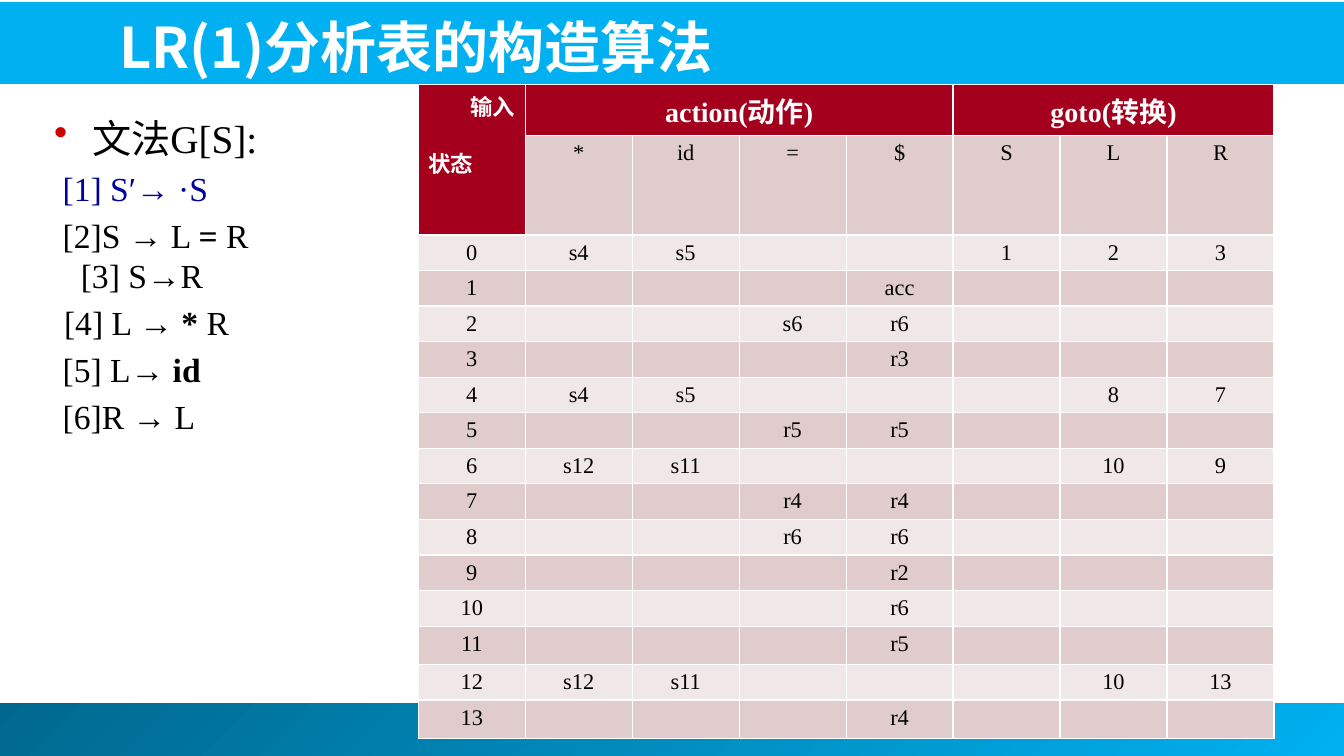
"""Builds the slide on constructing the LR(1) parsing table."""
import lxml.etree
import pptx
import pptx.dml.color
import pptx.enum.shapes
import pptx.enum.text
import pptx.oxml.ns
import pptx.util

Pt = pptx.util.Pt
RGBColor = pptx.dml.color.RGBColor
Align = pptx.enum.text.PP_ALIGN
Anchor = pptx.enum.text.MSO_ANCHOR
qn = pptx.oxml.ns.qn

SKY = RGBColor(0x00, 0xB0, 0xF0)
DEEP_BLUE = RGBColor(0x00, 0x68, 0x8E)
NAVY = RGBColor(0x00, 0x00, 0x99)
CRIMSON = RGBColor(0xA4, 0x00, 0x1D)
ROSE = RGBColor(0xE0, 0xCC, 0xCD)
PALE_ROSE = RGBColor(0xF0, 0xE7, 0xE8)
WHITE = RGBColor(0xFF, 0xFF, 0xFF)
BLACK = RGBColor(0x00, 0x00, 0x00)
SERIF = "Times New Roman"


def set_font(paragraph, size, color, bold=False, name=SERIF):
    paragraph.font.size = Pt(size)
    paragraph.font.color.rgb = color
    paragraph.font.bold = bold
    paragraph.font.name = name


def add_band(left, top, width, height):
    band = slide.shapes.add_shape(
        pptx.enum.shapes.MSO_SHAPE.RECTANGLE, Pt(left), Pt(top), Pt(width), Pt(height))
    band.shadow.inherit = False
    band.line.fill.background()
    slide.shapes._spTree.insert(2, band._element)
    return band


prs = pptx.Presentation()
prs.slide_width, prs.slide_height = Pt(960), Pt(540)
slide = prs.slides.add_slide(prs.slide_layouts[5])

header_band = add_band(-1.5, 1.5, 962, 58.5)
header_band.fill.solid()
header_band.fill.fore_color.rgb = SKY

footer_band = add_band(-3.5, 502.5, 964, 37.5)
footer_band.fill.gradient()
footer_band.fill.gradient_angle = 315
for stop, color in zip(footer_band.fill.gradient_stops, (DEEP_BLUE, SKY)):
    stop.color.rgb = color

title = slide.shapes.title
title.left, title.top, title.width, title.height = Pt(77.8), Pt(3.6), Pt(850), Pt(56.9)
title.text_frame.text = "LR(1)分析表的构造算法"
title.text_frame.vertical_anchor = Anchor.BOTTOM
title.text_frame.paragraphs[0].alignment = Align.LEFT
set_font(title.text_frame.paragraphs[0], 40, WHITE, True, "Noto Sans CJK JP")

SYMBOLS = ["*", "id", "=", "$", "S", "L", "R"]
STATES = [
    {"*": "s4", "id": "s5", "S": "1", "L": "2", "R": "3"},
    {"$": "acc"},
    {"=": "s6", "$": "r6"},
    {"$": "r3"},
    {"*": "s4", "id": "s5", "L": "8", "R": "7"},
    {"=": "r5", "$": "r5"},
    {"*": "s12", "id": "s11", "L": "10", "R": "9"},
    {"=": "r4", "$": "r4"},
    {"=": "r6", "$": "r6"},
    {"$": "r2"},
    {"$": "r6"},
    {"$": "r5"},
    {"*": "s12", "id": "s11", "L": "10", "R": "13"},
    {"$": "r4"},
]
rows = [["输入\n\n状态", "action(动作)", "", "", "", "goto(转换)", "", ""], [""] + SYMBOLS]
for state, moves in enumerate(STATES):
    rows.append([str(state)] + [moves.get(symbol, "") for symbol in SYMBOLS])

parsing_table = slide.shapes.add_table(
    len(rows), 8, Pt(298.8), Pt(60.5), Pt(611.2), Pt(436.3)).table
parsing_table.horz_banding = False
for column in parsing_table.columns:
    column.width = Pt(76.4)
row_heights = {0: 36, 1: 26.5, 13: 27.4, 15: 27.4}

for r, row in enumerate(rows):
    parsing_table.rows[r].height = Pt(row_heights.get(r, 25.4))
    for c, entry in enumerate(row):
        cell = parsing_table.cell(r, c)
        heading = r == 0 or (r == 1 and c == 0)
        size = 20 if r == 0 and c > 0 else 16
        cell.text = entry
        cell.fill.solid()
        cell.fill.fore_color.rgb = CRIMSON if heading else ROSE if r % 2 else PALE_ROSE
        for paragraph in cell.text_frame.paragraphs:
            paragraph.alignment = Align.CENTER
            set_font(paragraph, size, WHITE if heading else BLACK, heading)
            paragraph._p.get_or_add_endParaRPr().set("sz", str(size * 100))

corner = parsing_table.cell(0, 0)
corner.text_frame.paragraphs[0].alignment = Align.RIGHT
corner.text_frame.paragraphs[2].alignment = Align.LEFT
corner.merge(parsing_table.cell(1, 0))
parsing_table.cell(0, 1).merge(parsing_table.cell(0, 4))
parsing_table.cell(0, 5).merge(parsing_table.cell(0, 7))

grammar = slide.shapes.add_textbox(Pt(31.7), Pt(77.8), Pt(175.7), Pt(248.4)).text_frame
grammar.word_wrap = True
PRODUCTIONS = [
    (["文法G[S]:"], 28, BLACK, 27, -27),
    (["[1] S′→ ·S"], 24, NAVY, 6, 0),
    (["[2]S → L ", "= ", "R\v[3] S→R"], 24, BLACK, 19, -13),
    (["[4] L → ", "* ", "R"], 24, BLACK, 7, 0),
    (["[5] L→ ", "id"], 24, BLACK, 6, 0),
    (["[6]R → L"], 24, BLACK, 6, 0),
]
for i, (pieces, size, color, margin, indent) in enumerate(PRODUCTIONS):
    production = grammar.add_paragraph() if i else grammar.paragraphs[0]
    set_font(production, size, color)
    production.space_before = Pt(size * 0.2)
    for j, piece in enumerate(pieces):
        for k, line in enumerate(piece.split("\v")):
            if k:
                production.add_line_break()
            run = production.add_run()
            run.text = line
            if j == 1:
                run.font.bold = True
    properties = production._p.get_or_add_pPr()
    properties.set("marL", str(Pt(margin)))
    properties.set("indent", str(Pt(indent)))

bullet_host = grammar.paragraphs[0]._p.get_or_add_pPr()
bullet_color = lxml.etree.Element(qn("a:buClr"))
lxml.etree.SubElement(bullet_color, qn("a:srgbClr"), val="CC0000")
bullet = lxml.etree.Element(qn("a:buChar"), char="•")
font_defaults = bullet_host.find(qn("a:defRPr"))
font_defaults.addprevious(bullet_color)
font_defaults.addprevious(bullet)

prs.save("out.pptx")
